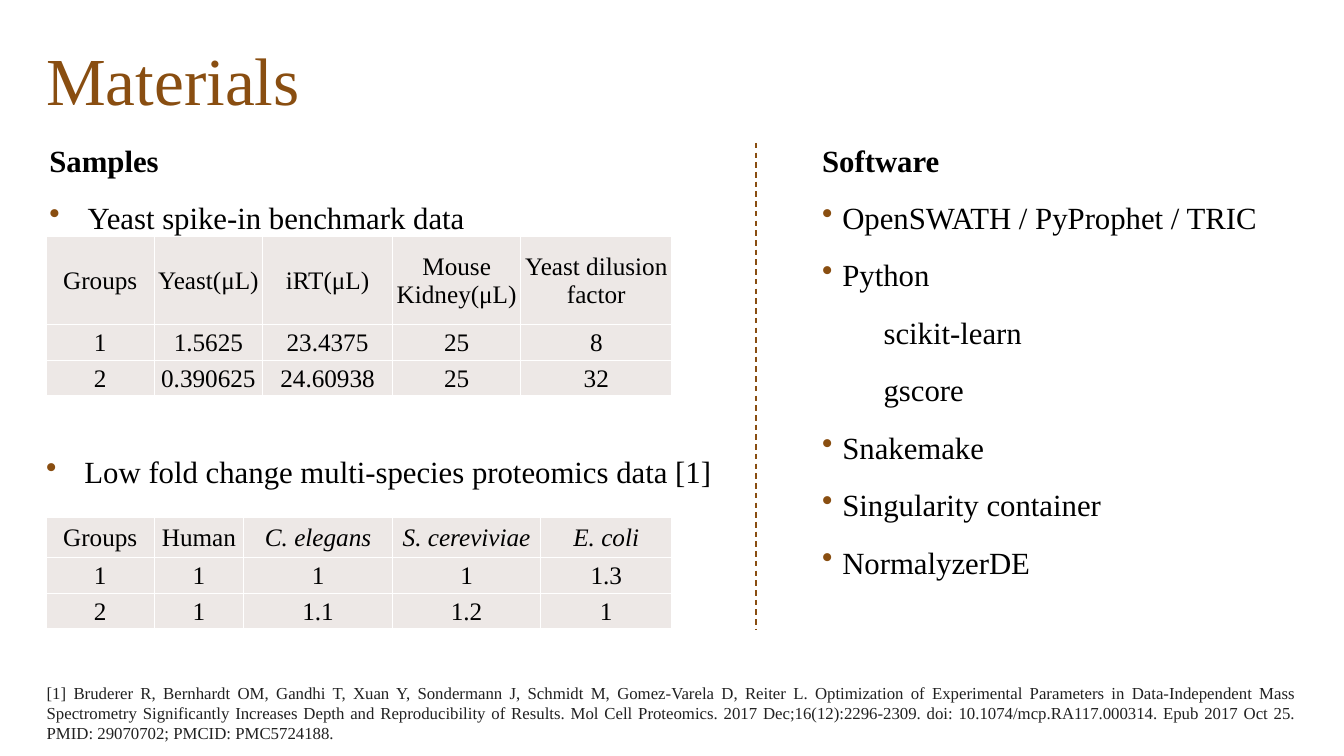
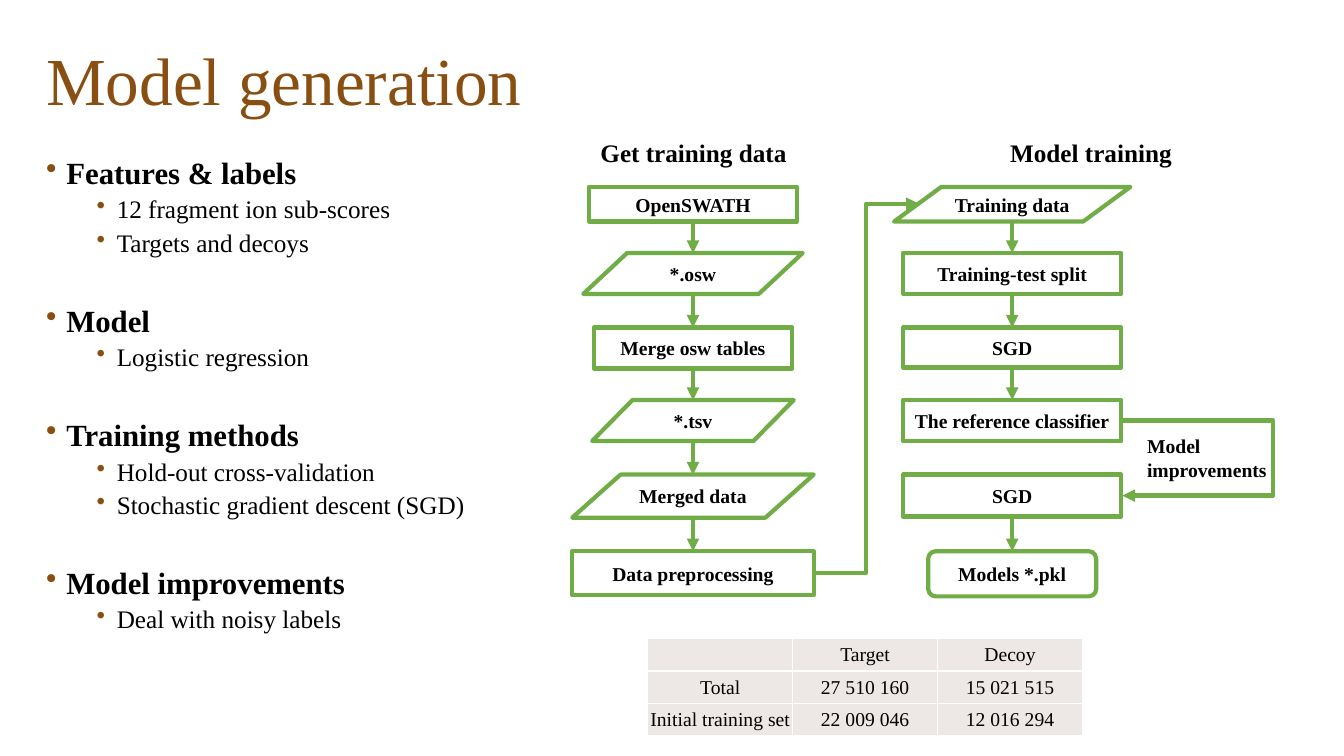
from dataclasses import dataclass
from itertools import pairwise

from lxml import etree
from pptx import Presentation
from pptx.dml.color import RGBColor
from pptx.enum.dml import MSO_LINE
from pptx.enum.shapes import MSO_CONNECTOR, MSO_SHAPE
from pptx.enum.text import MSO_ANCHOR, PP_ALIGN
from pptx.oxml.ns import qn
from pptx.util import Inches, Pt

RECT = MSO_SHAPE.RECTANGLE
SLANT = MSO_SHAPE.FLOWCHART_DATA
ROUND = MSO_SHAPE.FLOWCHART_ALTERNATE_PROCESS
LINE, ELBOW = MSO_CONNECTOR.STRAIGHT, MSO_CONNECTOR.ELBOW
DASH = MSO_LINE.DASH
TOP, MIDDLE = MSO_ANCHOR.TOP, MSO_ANCHOR.MIDDLE
LEFT, CENTER, FULL = PP_ALIGN.LEFT, PP_ALIGN.CENTER, PP_ALIGN.JUSTIFY


@dataclass(frozen=True)
class Theme:
    font: str = "Times New Roman"
    brown: str = "894E11"
    green: str = "70AD47"
    black: str = "000000"
    gray: str = "212121"
    cell: str = "EDE8E6"
    white: str = "FFFFFF"
    title: int = 48
    body: int = 22
    minor: int = 18
    label: int = 14
    note: int = 12


@dataclass
class Para:
    text: str
    size: int
    color: str = Theme.black
    bold: bool = False
    slant: bool = False
    align: PP_ALIGN = LEFT
    lead: float = 1.0
    before: float = 0
    left: float = 0
    hang: float = 0


def paint(hue):
    return RGBColor.from_string(hue)


def child(node, tag, **attrs):
    return etree.SubElement(node, qn(tag), attrs)


class Deck:
    cols, rows = 128, 72

    def __init__(self, theme):
        self.theme = theme
        self.show = Presentation()
        self.show.slide_width = Inches(13.333)
        self.show.slide_height = Inches(7.5)
        self.page = None

    def x(self, count):
        return round(self.show.slide_width * count / self.cols)

    def y(self, count):
        return round(self.show.slide_height * count / self.rows)

    def box(self, x, y, wide, high):
        return self.x(x), self.y(y), self.x(wide), self.y(high)

    def slide(self, title):
        self.page = self.show.slides.add_slide(self.show.slide_layouts[6])
        head = Para(title, self.theme.title, self.theme.brown, lead=0.9)
        self.text((4.4, 1.7, 120.1, 12.6), [head], anchor=MIDDLE)

    def typeset(self, frame, paras):
        for spot, item in enumerate(paras):
            para = frame.add_paragraph() if spot else frame.paragraphs[0]
            para.alignment = item.align
            para.line_spacing = item.lead
            if spot:
                para.space_before = Pt(item.before)
            props = para._p.get_or_add_pPr()
            props.set("marL", str(Inches(item.left)))
            props.set("indent", str(Inches(-item.hang)))
            if item.hang:
                tint = child(props, "a:buClr")
                child(tint, "a:srgbClr", val=self.theme.brown)
                child(props, "a:buChar", char="•")
            run = para.add_run()
            run.text = item.text
            font = run.font
            font.name, font.size = self.theme.font, Pt(item.size)
            font.bold, font.italic = item.bold, item.slant
            font.color.rgb = paint(item.color)

    def text(self, spot, paras, anchor=TOP, pad=(0, 0)):
        frame = self.page.shapes.add_textbox(*self.box(*spot)).text_frame
        frame.word_wrap = True
        frame.vertical_anchor = anchor
        frame.margin_left = frame.margin_right = Inches(pad[0])
        frame.margin_top = frame.margin_bottom = Inches(pad[1])
        self.typeset(frame, paras)

    def table(self, x, y, wides, highs, rows, size, slant=()):
        spot = self.box(x, y, sum(wides), sum(highs))
        grid = self.page.shapes.add_table(len(highs), len(wides), *spot).table
        grid.first_row = grid.horz_banding = False
        for col, wide in zip(grid.columns, wides):
            col.width = self.x(wide)
        for r, (high, words) in enumerate(zip(highs, rows)):
            grid.rows[r].height = self.y(high)
            for c, word in enumerate(words):
                cell = grid.cell(r, c)
                self.frame(cell)
                lean = r == 0 and c in slant
                self.typeset(cell.text_frame, [Para(word, size, slant=lean, align=CENTER)])

    def frame(self, cell):
        cell.margin_left = cell.margin_right = cell.margin_top = Inches(0.01)
        cell.margin_bottom = 0
        cell.vertical_anchor = MIDDLE
        props = cell._tc.get_or_add_tcPr()
        for side in "LRTB":
            edge = child(props, f"a:ln{side}", w=str(Pt(1)))
            child(child(edge, "a:solidFill"), "a:srgbClr", val=self.theme.white)
        cell.fill.solid()
        cell.fill.fore_color.rgb = paint(self.theme.cell)

    def node(self, kind, mid, y, wide, high, word):
        spot = self.box(mid - wide / 2, y, wide, high)
        shape = self.page.shapes.add_shape(kind, *spot)
        shape.shadow.inherit = False
        shape.fill.background()
        shape.line.color.rgb = paint(self.theme.green)
        shape.line.width = Pt(3)
        frame = shape.text_frame
        frame.word_wrap = True
        frame.vertical_anchor = MIDDLE
        self.typeset(frame, [Para(word, self.theme.label, bold=True, align=CENTER)])
        return shape

    def link(self, start, end, hue, width, kind=LINE, dash=None, tip=False, via=None):
        ends = self.x(start[0]), self.y(start[1]), self.x(end[0]), self.y(end[1])
        wire = self.page.shapes.add_connector(kind, *ends)
        wire.line.color.rgb = paint(hue)
        wire.line.width = Pt(width)
        if dash:
            wire.line.dash_style = dash
        props = wire._element.spPr
        if tip:
            child(props.get_or_add_ln(), "a:tailEnd", type="triangle")
        child(props, "a:effectLst")
        if via:
            bend = round(100000 * (via - start[0]) / (end[0] - start[0]))
            guides = props.find(qn("a:prstGeom")).get_or_add_avLst()
            child(guides, "a:gd", name="adj1", fmla=f"val {bend}")
        return wire

    def arrow(self, start, end, **more):
        return self.link(start, end, self.theme.green, 3, tip=True, **more)

    def chain(self, mid, tops, steps, gaps=()):
        nodes = [self.node(kind, mid, y, wide, high, word)
                 for y, (kind, wide, high, word) in zip(tops, steps)]
        for upper, lower in pairwise(range(len(nodes))):
            if upper in gaps:
                continue
            start = mid, tops[upper] + steps[upper][2]
            wire = self.arrow(start, (mid, tops[lower]))
            if steps[upper][0] != SLANT:
                wire.begin_connect(nodes[upper], 2)
            if steps[lower][0] != SLANT:
                wire.end_connect(nodes[lower], 0)


def goods(deck):
    theme = deck.theme

    def head(word):
        return Para(word, theme.body, bold=True, lead=1.1)

    def point(word, left=0.2, hang=0.2):
        return Para(word, theme.body, lead=1.1, before=12, left=left, hang=hang)

    deck.slide("Materials")
    deck.text((4.7, 13.1, 63.5, 11.5),
              [head("Samples"), point("Yeast spike-in benchmark data", 0.38, 0.38)])
    deck.text((78.3, 13.1, 46.2, 46.4), [
        head("Software"),
        point("OpenSWATH / PyProphet / TRIC"),
        point("Python"),
        point("scikit-learn", 0.61, 0),
        point("gscore", 0.61, 0),
        point("Snakemake"),
        point("Singularity container"),
        point("NormalyzerDE"),
    ])
    deck.table(4.4, 22.5, (10.3, 10.3, 12.4, 12.2, 14.4), (8.4, 3.4, 3.4), (
        ("Groups", "Yeast(μL)", "iRT(μL)", "Mouse Kidney(μL)", "Yeast dilusion factor"),
        ("1", "1.5625", "23.4375", "25", "8"),
        ("2", "0.390625", "24.60938", "25", "32"),
    ), theme.minor)
    deck.link((72, 13.6), (72, 60), theme.brown, 1, dash=DASH)
    deck.text((4.4, 42.8, 63.5, 5),
              [point("Low fold change multi-species proteomics data [1]", 0.38, 0.38)])
    deck.table(4.4, 49.3, (10.3, 8.5, 14.2, 14.1, 12.5), (3.8, 3.4, 3.4), (
        ("Groups", "Human", "C. elegans", "S. cereviviae", "E. coli"),
        ("1", "1", "1", "1", "1.3"),
        ("2", "1", "1.1", "1.2", "1"),
    ), theme.minor, slant=(2, 3, 4))
    cite = (
        "[1] Bruderer R, Bernhardt OM, Gandhi T, Xuan Y, Sondermann J, Schmidt M, "
        "Gomez-Varela D, Reiter L. Optimization of Experimental Parameters in "
        "Data-Independent Mass Spectrometry Significantly Increases Depth and "
        "Reproducibility of Results. Mol Cell Proteomics. 2017 Dec;16(12):2296-2309. "
        "doi: 10.1074/mcp.RA117.000314. Epub 2017 Oct 25. "
        "PMID: 29070702; PMCID: PMC5724188."
    )
    deck.text((3.5, 64.5, 121, 6.8),
              [Para(cite, theme.note, theme.gray, align=FULL)], pad=(0.1, 0.05))


def model(deck):
    theme = deck.theme
    deck.slide("Model generation")
    topics = {
        "Features & labels": ("12 fragment ion sub-scores", "Targets and decoys"),
        "Model": ("Logistic regression",),
        "Training methods": ("Hold-out cross-validation",
                             "Stochastic gradient descent (SGD)"),
        "Model improvements": ("Deal with noisy labels",),
    }
    paras = []
    for topic, points in topics.items():
        paras.append(Para(topic, theme.body, bold=True, lead=1.1,
                          before=29, left=0.2, hang=0.2))
        paras += [Para(word, theme.minor, lead=1.1, left=0.7, hang=0.2)
                  for word in points]
    deck.text((4.4, 14.3, 47.4, 55.9), paras)

    for x, wide, word in ((55.9, 20.3, "Get training data"), (90.4, 27, "Model training")):
        deck.text((x, 12.6, wide, 3.8),
                  [Para(word, theme.minor, bold=True, align=CENTER)], pad=(0.1, 0.05))
    tops = 17.8, 24.1, 31.2, 38.1, 45.2, 52.5
    deck.chain(66, tops, (
        (RECT, 19.8, 3.3, "OpenSWATH"),
        (SLANT, 20.9, 3.9, "*.osw"),
        (RECT, 18.9, 3.9, "Merge osw tables"),
        (SLANT, 19.2, 3.9, "*.tsv"),
        (SLANT, 23, 4.1, "Merged data"),
        (RECT, 23, 4.2, "Data preprocessing"),
    ))
    deck.chain(96.4, tops, (
        (SLANT, 22.5, 3.3, "Training data"),
        (RECT, 20.8, 3.9, "Training-test split"),
        (RECT, 20.8, 3.8, "SGD"),
        (RECT, 20.8, 3.9, "The reference classifier"),
        (RECT, 20.8, 4, "SGD"),
        (ROUND, 16, 4.3, "Models *.pkl"),
    ), gaps=(3,))
    deck.arrow((77.5, 54.6), (87.5, 19.4), kind=ELBOW)
    deck.arrow((106.8, 40.05), (106.9, 47.2), kind=ELBOW, via=121.5)
    deck.text((108.3, 40.9, 13.6, 5.5),
              [Para("Model improvements", theme.label, bold=True)], pad=(0.1, 0.05))
    deck.table(61.7, 60.8, (13.8,) * 3, (3.1,) * 3, (
        ("", "Target", "Decoy"),
        ("Total", "27 510 160", "15 021 515"),
        ("Initial training set", "22 009 046", "12 016 294"),
    ), theme.label)


def main():
    deck = Deck(Theme())
    goods(deck)
    model(deck)
    deck.show.save("out.pptx")


if __name__ == "__main__":
    main()
